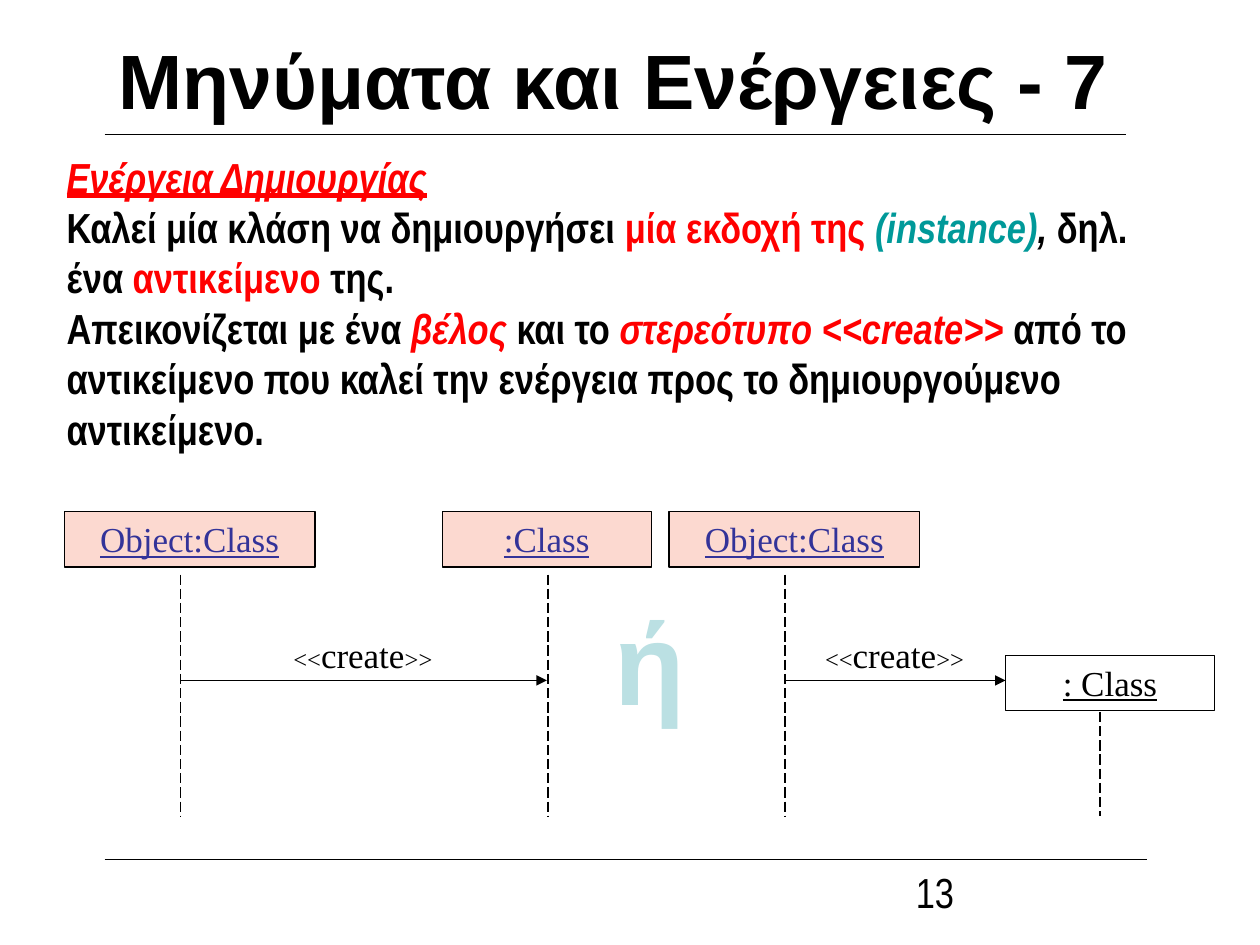
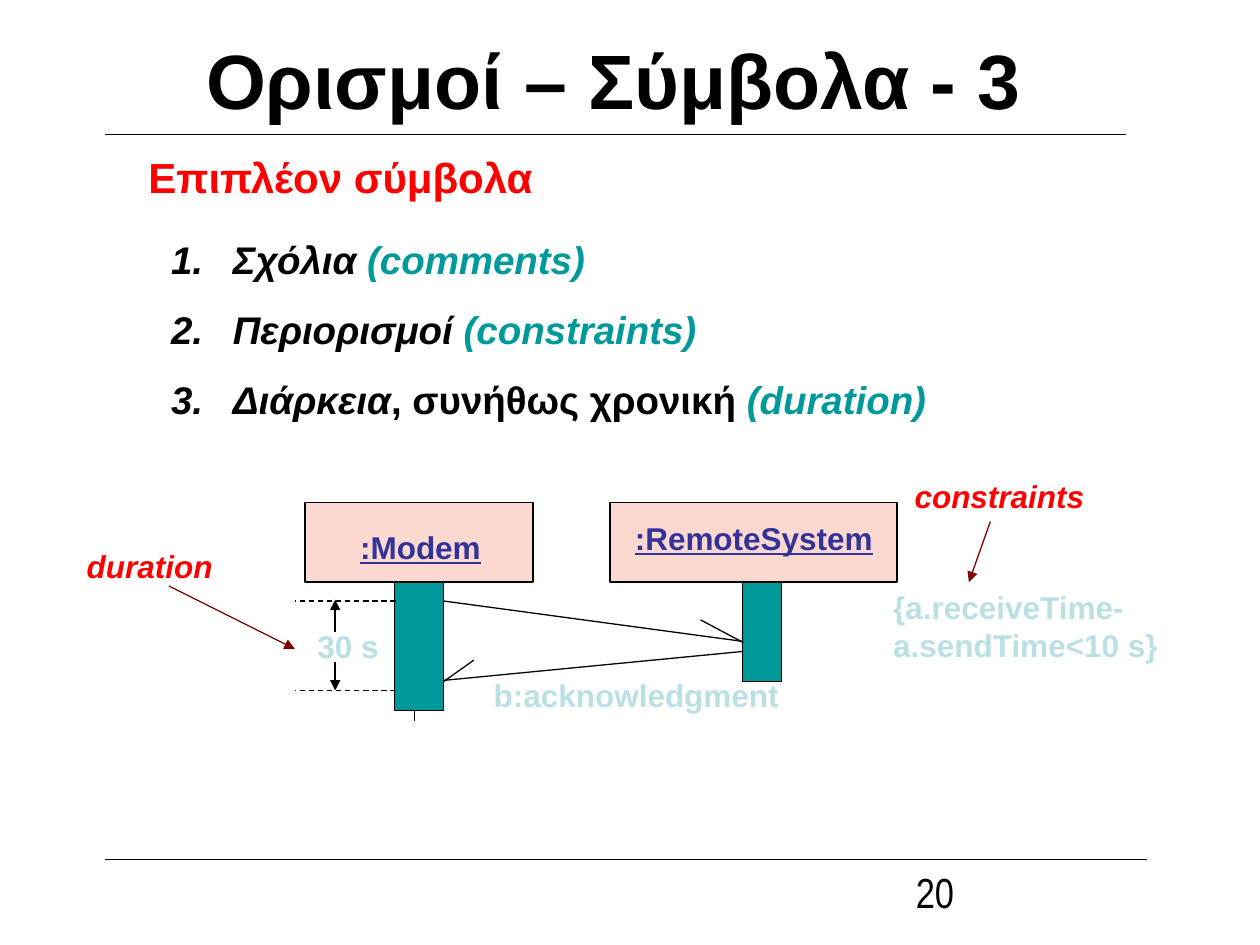
import dataclasses

import pptx
import pptx.dml.color
import pptx.enum.dml
import pptx.enum.shapes
import pptx.enum.text
import pptx.oxml.ns
import pptx.util
from lxml import etree

EMU_PER_PX = 9144  # 100 px to the inch
ALIGN = pptx.enum.text.PP_ALIGN
ANCHOR = pptx.enum.text.MSO_ANCHOR
AUTO_SIZE = pptx.enum.text.MSO_AUTO_SIZE
DASH = pptx.enum.dml.MSO_LINE


@dataclasses.dataclass(frozen=True)
class Theme:
    black: str = "000000"
    red: str = "FF0000"
    teal: str = "009999"
    pale: str = "BBE0E3"
    navy: str = "333399"
    pink: str = "FCD9D0"
    maroon: str = "800000"
    sans: str = "Arial"
    narrow: str = "Arial Narrow"
    serif: str = "Times New Roman"
    title: int = 44
    body: int = 24
    item: int = 22
    name: int = 20
    label: int = 18
    mark: int = 14
    big: int = 66
    line: float = 0.75


T = Theme()


# --- Basics ---

def px(n):
    return pptx.util.Emu(n * EMU_PER_PX)


def rgb(color):
    return pptx.dml.color.RGBColor.from_string(color)


def add_xml(parent, tag, **attrs):
    return etree.SubElement(parent, pptx.oxml.ns.qn(tag), attrs)


def style(font, size=None, name=None, color=None, bold=None, italic=None, underline=None):
    if size:
        font.size = pptx.util.Pt(size)
    if name:
        font.name = name
    if color:
        font.color.rgb = rgb(color)
    if bold is not None:
        font.bold = bold
    if italic is not None:
        font.italic = italic
    if underline is not None:
        font.underline = underline


def write(tf, paragraphs, align=ALIGN.LEFT, **font):
    """Each paragraph is a string or a list of (text, run overrides)."""
    for i, runs in enumerate(paragraphs):
        p = tf.add_paragraph() if i else tf.paragraphs[0]
        p.alignment = align
        style(p.font, **font)
        for text, changes in [(runs, {})] if isinstance(runs, str) else runs:
            r = p.add_run()
            r.text = text
            style(r.font, **changes)


def text_box(s, box, paragraphs, wrap=True, grow=True, **font):
    tf = s.shapes.add_textbox(*map(px, box)).text_frame
    tf.word_wrap = wrap
    tf.auto_size = AUTO_SIZE.SHAPE_TO_FIT_TEXT if grow else AUTO_SIZE.NONE
    write(tf, paragraphs, **font)
    return tf


def label(s, box, text, color, wrap=False, **font):
    text_box(s, box, [text], wrap, size=T.label, name=T.sans, color=color, bold=True, **font)


def rect(s, box, fill=None):
    sp = s.shapes.add_shape(pptx.enum.shapes.MSO_SHAPE.RECTANGLE, *map(px, box))
    sp.shadow.inherit = False
    if fill:
        sp.fill.solid()
        sp.fill.fore_color.rgb = rgb(fill)
    else:
        sp.fill.background()
    sp.line.color.rgb = rgb(T.black)
    sp.line.width = pptx.util.Pt(T.line)
    return sp


def line(s, x1, y1, x2, y2, color=T.black, dash=None, arrow=False):
    cxn = s.shapes.add_connector(pptx.enum.shapes.MSO_CONNECTOR.STRAIGHT,
                                 px(x1), px(y1), px(x2), px(y2))
    cxn.line.color.rgb = rgb(color)
    cxn.line.width = pptx.util.Pt(T.line)
    if dash:
        cxn.line.dash_style = dash
    if arrow:
        add_xml(cxn.line._get_or_add_ln(), "a:tailEnd", type="triangle")
    add_xml(cxn._element.spPr, "a:effectLst")


# --- Frame shared by the slides ---

def add_slide(prs, title, number, title_top, title_height):
    s = prs.slides.add_slide(prs.slide_layouts[5])
    sp = s.shapes.title
    sp.left, sp.top, sp.width, sp.height = map(px, (50, title_top, 875, title_height))
    tf = sp.text_frame
    tf.vertical_anchor = ANCHOR.MIDDLE
    tf.auto_size = AUTO_SIZE.NONE
    write(tf, [title], ALIGN.CENTER, size=T.title, name=T.sans, color=T.black, bold=True)
    line(s, 83, 107, 894, 107)
    line(s, 83, 682, 910, 682)
    text_box(s, (717, 683, 232, 51), [number], grow=False,
             size=T.body, name=T.narrow, color=T.black)
    return s


# --- Sequence diagram parts ---

def object_box(s, box, text, fill=T.pink, color=T.navy):
    tf = rect(s, box, fill).text_frame
    tf.word_wrap = True
    tf.vertical_anchor = ANCHOR.TOP
    write(tf, [text], ALIGN.CENTER, size=T.name, name=T.serif, color=color, underline=True)


def lifeline(s, x, top, bottom=648):
    line(s, x, top, x, bottom, dash=DASH.LONG_DASH)


def create_message(s, x1, x2, text_left):
    line(s, x1, 540, x2, 540, arrow=True)
    mark = dict(size=T.mark)
    text_box(s, (text_left, 498, 224, 44),
             [[("<<", mark), ("create", dict(size=T.name)), (">>", mark)]],
             align=ALIGN.CENTER, name=T.serif, color=T.black)


def number_list(tf, indent, gap):
    for p in tf.paragraphs:
        p.space_before = pptx.util.Pt(gap)
        pPr = p._p.get_or_add_pPr()
        pPr.set("marL", str(px(indent)))
        pPr.set("indent", str(px(-indent)))
        bullet = etree.Element(pptx.oxml.ns.qn("a:buAutoNum"), type="arabicPeriod")
        color = etree.Element(pptx.oxml.ns.qn("a:buClr"))
        add_xml(color, "a:srgbClr", val=T.black)
        spacing = pPr.find(pptx.oxml.ns.qn("a:spcBef"))
        spacing.addnext(bullet)
        spacing.addnext(color)


# --- Slides ---

def create_slide(prs):
    s = add_slide(prs, "Μηνύματα και Ενέργειες - 7", "13", -16, 157)
    red = dict(color=T.red)
    red_italic = dict(color=T.red, italic=True)
    text_box(s, (43, 115, 890, 303), [
        [("Ενέργεια Δημιουργίας", dict(red_italic, underline=True))],
        [("Καλεί μία κλάση να δημιουργήσει ", {}), ("μία εκδοχή της ", red),
         ("(instance)", dict(color=T.teal, italic=True)), (", ", dict(italic=True)),
         ("δηλ. ένα ", {}), ("αντικείμενο", red), (" της.", {})],
        [("Απεικονίζεται με ένα ", {}), ("βέλος ", red_italic), ("και το ", {}),
         ("στερεότυπο <<create>>", red_italic),
         (" από το αντικείμενο που καλεί την ενέργεια προς το δημιουργούμενο αντικείμενο.", {})],
    ], size=T.body, name=T.narrow, color=T.black, bold=True)

    # Receiver drawn at the top
    object_box(s, (51, 406, 199, 44), "Object:Class")
    object_box(s, (351, 406, 166, 44), ":Class")
    lifeline(s, 143, 456)
    lifeline(s, 435, 456)
    create_message(s, 143, 434, 176)

    # Receiver drawn at the message
    object_box(s, (531, 406, 199, 44), "Object:Class")
    object_box(s, (798, 520, 166, 44), ": Class", fill=None, color=T.black)
    lifeline(s, 623, 456)
    lifeline(s, 873, 565)
    create_message(s, 623, 798, 598)

    text_box(s, (478, 463, 76, 120), ["ή"], wrap=False,
             size=T.big, name=T.sans, color=T.pale, bold=True)


def symbols_slide(prs):
    s = add_slide(prs, "Ορισμοί – Σύμβολα - 3", "20", 0, 125)
    teal = dict(color=T.teal, italic=True)
    italic = dict(italic=True)
    tf = text_box(s, (126, 182, 750, 158), [
        [("Σχόλια ", italic), ("(comments)", teal)],
        [("Περιορισμοί ", italic), ("(constraints)", teal)],
        [("Διάρκεια", italic), (", συνήθως χρονική ", {}), ("(duration)", teal)],
    ], size=T.item, name=T.sans, color=T.black, bold=True)
    number_list(tf, 49, 13.8)
    text_box(s, (108, 115, 326, 50), ["Επιπλέον σύμβολα"], wrap=False,
             size=T.body, name=T.sans, color=T.red, bold=True)

    # Objects and activations
    rect(s, (242, 399, 181, 63), T.pink)
    label(s, (276, 414, 116, 40), ":Modem", T.navy, underline=True)
    rect(s, (484, 399, 228, 63), T.pink)
    label(s, (494, 407, 213, 40), ":RemoteSystem", T.navy, wrap=True, underline=True)
    rect(s, (313, 462, 39, 102), T.teal)
    rect(s, (589, 462, 31, 79), T.teal)
    line(s, 329, 564, 329, 572)

    # Messages with half arrowheads
    for ends in [(352, 477, 589, 509), (590, 510, 556, 492),
                 (590, 517, 352, 540), (352, 541, 376, 524)]:
        line(s, *ends)
    label(s, (382, 532, 260, 40), "b:acknowledgment", T.pale, wrap=True)

    # Duration
    for y in (477, 548):
        line(s, 314, y, 234, y, dash=DASH.DASH)
    label(s, (242, 493, 94, 40), "30 s", T.pale, wrap=True)
    line(s, 266, 525, 266, 548, arrow=True)
    line(s, 266, 502, 266, 476, arrow=True)
    label(s, (59, 429, 120, 40), "duration", T.red, italic=True)
    line(s, 134, 465, 234, 515, T.maroon, arrow=True)

    # Constraint
    label(s, (699, 462, 254, 70), "{a.receiveTime-a.sendTime<10 s}", T.pale, wrap=True)
    label(s, (716, 374, 155, 40), "constraints", T.red, italic=True)
    line(s, 786, 414, 769, 462, T.maroon, arrow=True)


def main():
    prs = pptx.Presentation()
    prs.slide_width, prs.slide_height = px(1000), px(750)
    create_slide(prs)
    symbols_slide(prs)
    prs.save("out.pptx")


if __name__ == "__main__":
    main()
